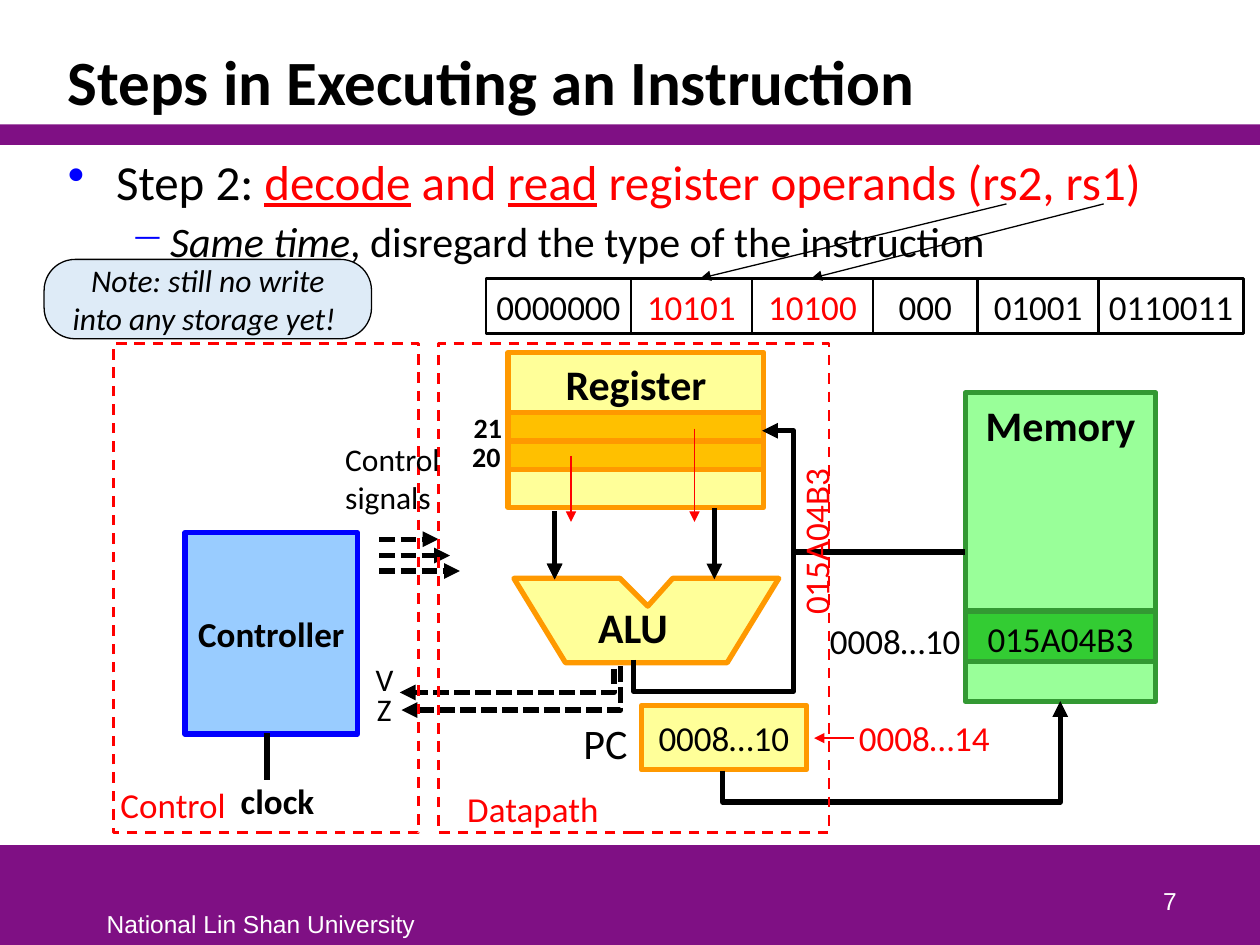
"""Build the slide on decoding an instruction and reading its register operands."""
from lxml.etree import SubElement
from pptx import Presentation
from pptx.dml.color import RGBColor
from pptx.enum.dml import MSO_LINE as Dash
from pptx.enum.shapes import MSO_CONNECTOR as Link, MSO_SHAPE as Preset
from pptx.enum.text import MSO_ANCHOR as Anchor, MSO_AUTO_SIZE as AutoSize, PP_ALIGN as Align
from pptx.oxml.ns import qn
from pptx.util import Cm, Pt

COLORS = {
    "black": "000000", "white": "FFFFFF", "purple": "7F1084", "red": "FF0000",
    "blue": "0000FF", "sky": "99CCFF", "pale": "DEEBF7", "yellow": "FFFF99",
    "amber": "FFC000", "orange": "FF9900", "mint": "99FF99", "green": "33CC33",
    "forest": "339933",
}
RGB = {name: RGBColor.from_string(value) for name, value in COLORS.items()}

presentation = Presentation()
presentation.slide_width, presentation.slide_height = Cm(25.4), Cm(19.05)
slide = presentation.slides.add_slide(presentation.slide_layouts[6])


def add_box(box, runs=(), size=20, preset=Preset.RECTANGLE, fill=None, line=None, width=3,
            dash=None, align=Align.CENTER, anchor=Anchor.TOP, wrap=False, font="Calibri"):
    frame_box = [Cm(value) for value in box]
    if fill or line:
        shape = slide.shapes.add_shape(preset, *frame_box)
        shape.shadow.inherit = False
        if fill:
            shape.fill.solid()
            shape.fill.fore_color.rgb = RGB[fill]
        else:
            shape.fill.background()
        if line:
            shape.line.color.rgb = RGB[line]
            shape.line.width = Pt(width)
            shape.line.dash_style = dash
        else:
            shape.line.fill.background()
    else:
        shape = slide.shapes.add_textbox(*frame_box)
    frame = shape.text_frame
    frame.word_wrap = wrap
    frame.vertical_anchor = anchor
    if align == Align.LEFT and not wrap:
        frame.auto_size = AutoSize.SHAPE_TO_FIT_TEXT
    paragraph = frame.paragraphs[0]
    paragraph.alignment = align
    for text, color, style in runs:
        if "n" in style:
            paragraph = frame.add_paragraph()
            paragraph.alignment = align
        run = paragraph.add_run()
        run.text = text
        run.font.name, run.font.size = font, Pt(size)
        run.font.color.rgb = RGB[color]
        run.font.bold, run.font.italic = "b" in style, "i" in style
        run.font.underline = "u" in style
    return shape


def add_line(begin, end, color="black", width=3, dash=None, arrow=True, kind=Link.STRAIGHT):
    connector = slide.shapes.add_connector(kind, *[Cm(value) for value in (*begin, *end)])
    connector.line.color.rgb = RGB[color]
    connector.line.width = Pt(width)
    connector.line.dash_style = dash
    if arrow:
        SubElement(connector.line._get_or_add_ln(), qn("a:tailEnd"), type="triangle")
    SubElement(connector._element.spPr, qn("a:effectLst"))
    return connector


add_box((0, 17.04, 25.4, 2.01), fill="purple")
add_box((0, 2.51, 25.4, 0.41), fill="purple")
add_box((1.9, 18.21, 7.01, 0.84), [("National Lin Shan University", "white", "")], 14,
        align=Align.LEFT, font="Arial")
title = add_box((1.12, 0.64, 23.16, 1.88), [("Steps in Executing an Instruction", "black", "b")], 36,
                align=Align.LEFT, anchor=Anchor.BOTTOM, wrap=True)
title.text_frame.paragraphs[0].line_spacing = 0.85

steps = [
    ("Step 2: ", "black", ""), ("decode", "red", "u"), (" and ", "red", ""),
    ("read", "red", "u"), (" register operands (rs2, rs1)", "red", ""),
    ("Same time", "black", "ni"), (", disregard the type of the instruction", "black", ""),
]
body = add_box((1.12, 2.92, 23.16, 14.05), steps, align=Align.LEFT, wrap=True)
bullets = [(28, "•", 0.97, -0.97), (24, "−", 2.06, -0.79)]
for level, (size, mark, margin, indent) in enumerate(bullets):
    paragraph = body.text_frame.paragraphs[level]
    paragraph.level = level
    paragraph.space_before = Pt(3)
    for run in paragraph.runs:
        run.font.size = Pt(size)
    properties = paragraph._p.get_or_add_pPr()
    properties.set("marL", str(Cm(margin)))
    properties.set("indent", str(Cm(indent)))
    bullet_color = SubElement(properties, qn("a:buClr"))
    SubElement(bullet_color, qn("a:srgbClr"), val=COLORS["blue"])
    SubElement(properties, qn("a:buChar"), char=mark)

alu_points = [(10.36, 11.66), (12.5, 11.66), (13.06, 12.22), (13.56, 11.66),
              (15.7, 11.66), (14.66, 13.36), (11.4, 13.36)]
(start_x, start_y), *corners = [(Cm(x), Cm(y)) for x, y in alu_points]
builder = slide.shapes.build_freeform(start_x, start_y)
builder.add_line_segments(corners, close=True)
alu = builder.convert_to_shape()
alu.shadow.inherit = False
alu.fill.solid()
alu.fill.fore_color.rgb = RGB["yellow"]
alu.line.color.rgb = RGB["orange"]
alu.line.width = Pt(3)

units = [
    ((10.24, 7.11, 5.16, 3.12), "Register", 24, "b", "yellow", "orange", Anchor.TOP),
    ((19.46, 7.92, 3.84, 6.22), "Memory", 24, "b", "mint", "forest", Anchor.TOP),
    ((12.93, 14.22, 3.33, 1.3), "0008…10", 20, "", "yellow", "orange", Anchor.MIDDLE),
    ((3.73, 10.74, 3.48, 4.06), "Controller", 20, "b", "sky", "blue", Anchor.MIDDLE),
    ((19.46, 12.32, 3.84, 1.02), "015A04B3", 20, "", "green", "forest", Anchor.TOP),
]
for box, text, size, style, fill, line, anchor in units:
    add_box(box, [(text, "black", style)], size, fill=fill, line=line, anchor=anchor)

for number, left, top in (("20", 9.27, 8.89), ("21", 9.3, 8.31)):
    add_box((10.24, top, 5.16, 0.58), fill="amber", line="orange")
    add_box((left, top - 0.16, 1.09, 0.94), [(number, "black", "b")], 16, align=Align.LEFT)

for x, top in ((14.4, 10.24), (11.18, 10.77), (11.18, 10.31)):
    add_line((x, top), (x, 11.68))
for y, right in ((10.87, 8.84), (11.2, 9.07), (11.51, 9.27)):
    add_line((7.65, y), (right, y), dash=Dash.SQUARE_DOT)
add_line((5.38, 14.78), (5.38, 15.72), arrow=False)
add_line((16.05, 11.13), (19.46, 11.13), arrow=False)

elbows = [
    ((18.67, 18.24), (17.27, 11.43), "bentConnector3", [-45400], None),
    ((16.38, 12.29), (11.76, 9.7), "bentConnector4", [-13700, 124400], None),
    ((9.98, 11.56), (10.46, 15.88), "bentConnector2", [], Dash.SQUARE_DOT),
    ((9.86, 11.66), (10.75, 16.08), "bentConnector2", [], Dash.SQUARE_DOT),
]
for begin, end, preset, adjustments, dash in elbows:
    properties = add_line(begin, end, dash=dash, kind=Link.ELBOW)._element.spPr
    properties.find(qn("a:xfrm")).set("rot", "5400000")
    geometry = properties.find(qn("a:prstGeom"))
    geometry.set("prst", preset)
    guides = geometry.find(qn("a:avLst"))
    for index, value in enumerate(adjustments, 1):
        SubElement(guides, qn("a:gd"), name=f"adj{index}", fmla=f"val {value}")

for left, width in ((8.84, 7.87), (2.29, 6.15)):
    add_box((left, 6.93, width, 9.86), line="red", width=1.5, dash=Dash.DASH)

labels = [
    ((11.81, 12.01, 1.93, 1.27), "ALU", 24, "black", "b", False),
    ((6.71, 8.74, 2.69, 1.8), "Control signals", 18, "black", "", True),
    ((9.17, 15.75, 3.18, 1.12), "Datapath", 20, "red", "", False),
    ((2.18, 15.67, 2.64, 1.12), "Control", 20, "red", "", False),
    ((11.51, 14.33, 1.4, 1.27), "PC", 24, "black", "", False),
    ((16.48, 12.37, 3.2, 1.12), "0008…10", 20, "black", "", False),
]
for box, text, size, color, style, wrap in labels:
    add_box(box, [(text, color, style)], size, align=Align.LEFT, wrap=wrap)

signals = [
    ((7.21, 14.2, 1.07, 0.71), "Z", 18, "", Anchor.TOP),
    ((7.21, 13.59, 1.09, 0.71), "V", 18, "", Anchor.TOP),
    ((4.06, 15.8, 3.07, 1.12), "clock", 20, "b", Anchor.MIDDLE),
]
for box, text, size, style, anchor in signals:
    frame = add_box(box, [(text, "black", style)], size, anchor=anchor).text_frame
    frame.margin_left = frame.margin_right = Cm(0.05)
    frame.margin_top = frame.margin_bottom = Cm(0.08)
    frame.paragraphs[0].line_spacing = Pt(11.1)

add_box((14.48, 10.41, 3.84, 1.02), [("015A04B3", "red", "")]).rotation = 270
add_box((16.97, 14.22, 3.33, 1.3), [("0008…14", "red", "")], anchor=Anchor.MIDDLE)

thin_arrows = [
    ((11.51, 9.19), (11.51, 10.52), "red"), ((14, 8.64), (14, 10.52), "red"),
    ((17.22, 14.88), (16.41, 14.88), "red"),
    ((20.29, 4.11), (14.12, 5.61), "black"), ((22.25, 4.11), (16.36, 5.61), "black"),
]
for begin, end, color in thin_arrows:
    add_line(begin, end, color, 0.75)

left = 9.8
fields = [("0000000", 2.92, "black"), ("10101", 2.44, "red"), ("10100", 2.44, "red"),
          ("000", 2.11, "black"), ("01001", 2.44, "black"), ("0110011", 2.92, "black")]
for bits, width, color in fields:
    frame = add_box((left, 5.61, width, 1.12), [(bits, color, "")], line="black", width=1.5,
                    anchor=Anchor.MIDDLE, wrap=True).text_frame
    frame.margin_left = frame.margin_right = frame.margin_top = frame.margin_bottom = 0
    left += width

note = add_box((0.89, 5.23, 6.6, 1.6), [("Note: still no write into any storage yet! ", "black", "i")],
               18, Preset.ROUNDED_RECTANGLE, "pale", "black", 0.75, anchor=Anchor.MIDDLE, wrap=True)
note.adjustments[0] = 0.39
add_box((18.69, 17.3, 5.28, 1.27), [("7", "white", "")], 14, align=Align.RIGHT,
        anchor=Anchor.BOTTOM, wrap=True, font="Arial")

presentation.save("out.pptx")
